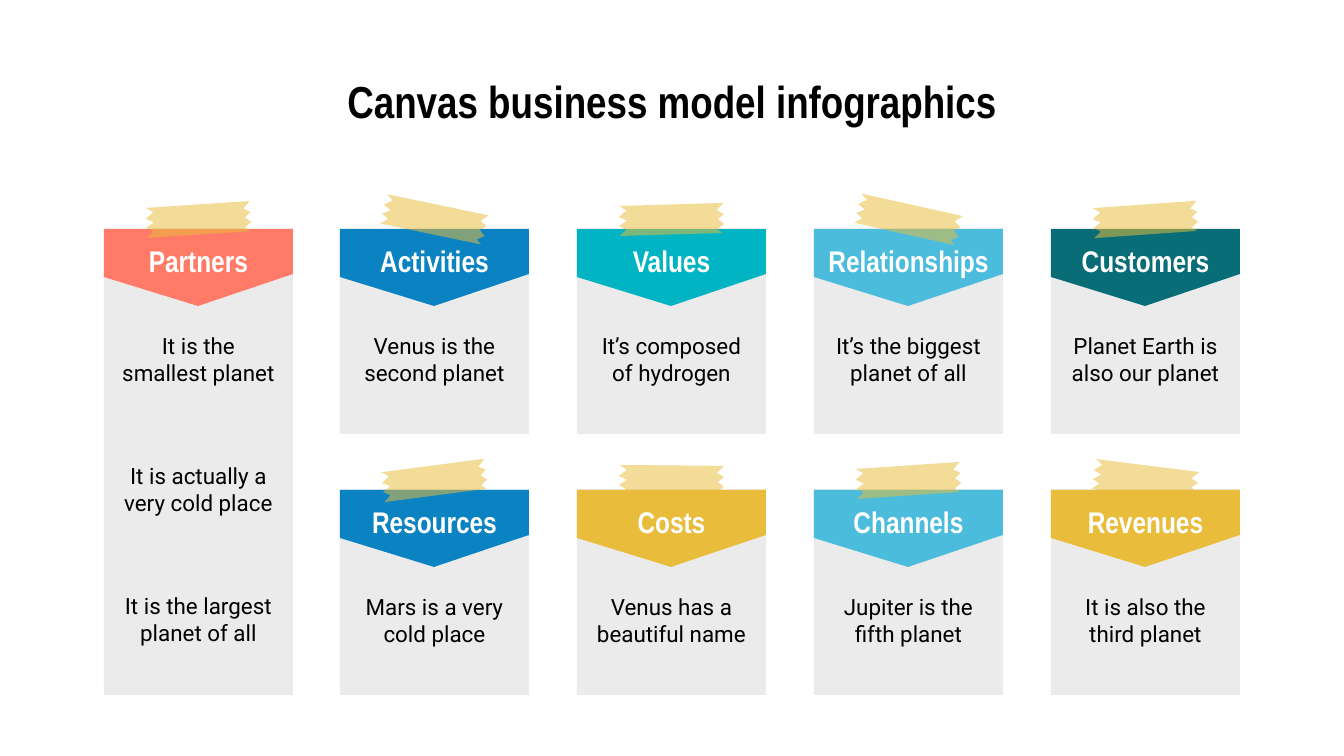
from lxml import etree
from pptx import Presentation
from pptx.dml.color import RGBColor
from pptx.enum.shapes import MSO_SHAPE
from pptx.enum.text import MSO_ANCHOR, MSO_AUTO_SIZE, PP_ALIGN
from pptx.oxml.ns import qn
from pptx.util import Emu, Pt

PX = 914400 / 134.4

BLACK = RGBColor(0x00, 0x00, 0x00)
WHITE = RGBColor(0xFF, 0xFF, 0xFF)
GREY = RGBColor(0xEB, 0xEB, 0xEB)
CORAL = RGBColor(0xFF, 0x7B, 0x68)
BLUE = RGBColor(0x0B, 0x83, 0xC2)
TURQUOISE = RGBColor(0x01, 0xB4, 0xC4)
SKY = RGBColor(0x4B, 0xBC, 0xDC)
TEAL = RGBColor(0x09, 0x6D, 0x77)
YELLOW = RGBColor(0xE9, 0xBD, 0x3B)

TITLE = "Canvas business model infographics"
# column, row, rows spanned, heading, colour, tape angle, notes
CARDS = [
    (0, 0, 2, "Partners", CORAL, -4.3,
     ["It is the smallest planet", "It is actually a very cold place",
      "It is the largest planet of all"]),
    (1, 0, 1, "Activities", BLUE, 11.2, ["Venus is the second planet"]),
    (2, 0, 1, "Values", TURQUOISE, -2.2, ["It’s composed of hydrogen"]),
    (3, 0, 1, "Relationships", SKY, 12, ["It’s the biggest planet of all"]),
    (4, 0, 1, "Customers", TEAL, -4.6, ["Planet Earth is also our planet"]),
    (1, 1, 1, "Resources", BLUE, -8, ["Mars is a very cold place"]),
    (2, 1, 1, "Costs", YELLOW, 0, ["Venus has a beautiful name"]),
    (3, 1, 1, "Channels", SKY, -4.4, ["Jupiter is the fifth planet"]),
    (4, 1, 1, "Revenues", YELLOW, 6.6, ["It is also the third planet"]),
]

LEFT, TOP, LAST_LEFT = 104, 228, 1051
CARD_W, CARD_H, ROW_STEP, NOTE_STEP = 189, 206, 261, 130
BANNER = [(0, 0), (0, 48), (94, 77), (CARD_W, 45), (CARD_W, 0)]
TAPE = [(1, 0), (8, 5), (0, 11), (8, 15), (0, 20), (7, 24), (0, 30),
        (103, 31), (98, 27), (105, 22), (99, 17), (105, 12), (98, 8), (105, 1)]

TITLE_FONT = dict(name="Arial Narrow", size=Pt(24), bold=True)
HEADING_FONT = dict(name="Arial Narrow", size=Pt(16), bold=True)
NOTE_FONT = dict(name="Roboto", size=Pt(12), bold=False)


def px(*values):
    return [Emu(round(v * PX)) for v in values]


def paint(sp, color):
    sp.shadow.inherit = False
    sp.fill.solid()
    sp.fill.fore_color.rgb = color
    sp.line.fill.background()


def add_outline(s, points, x, y, color):
    builder = s.shapes.build_freeform(*points[0], scale=PX)
    builder.add_line_segments(points[1:], close=True)
    sp = builder.convert_to_shape(*px(x, y))
    paint(sp, color)
    return sp


def add_tape(s, x, y, angle):
    sp = add_outline(s, TAPE, x, y, YELLOW)
    sp.rotation = angle
    rgb = sp.fill._xPr.find(qn("a:solidFill"))[0]
    etree.SubElement(rgb, qn("a:alpha"), val="53000")


def write(sp, text, font, color, anchor=MSO_ANCHOR.TOP):
    tf = sp.text_frame
    frame = dict(word_wrap=True, auto_size=MSO_AUTO_SIZE.NONE, vertical_anchor=anchor)
    for side in ("left", "top", "right", "bottom"):
        frame[f"margin_{side}"] = Emu(91440)
    for key, value in frame.items():
        setattr(tf, key, value)
    p = tf.paragraphs[0]
    p.alignment = PP_ALIGN.CENTER
    r = p.add_run()
    r.text = text
    for key, value in font.items():
        setattr(r.font, key, value)
    r.font.color.rgb = color


def add_card(s, col, row, span, heading, color, angle, notes):
    x = LEFT + col * (LAST_LEFT - LEFT) // 4
    y = TOP + row * ROW_STEP
    height = CARD_H + (span - 1) * ROW_STEP
    paint(s.shapes.add_shape(MSO_SHAPE.RECTANGLE, *px(x, y, CARD_W, height)), GREY)
    add_outline(s, BANNER, x, y + 1, color)
    add_tape(s, x + 42, y - 24, angle)
    box = s.shapes.add_textbox(*px(x, y + 7, CARD_W, 51))
    write(box, heading, HEADING_FONT, WHITE, MSO_ANCHOR.MIDDLE)
    for i, note in enumerate(notes):
        box = s.shapes.add_textbox(*px(x, y + 91 + i * NOTE_STEP, CARD_W, 89))
        write(box, note, NOTE_FONT, BLACK)


def main():
    prs = Presentation()
    prs.slide_width, prs.slide_height = px(1344, 756)
    s = prs.slides.add_slide(prs.slide_layouts[5])
    title = s.shapes.title
    title.left, title.top, title.width, title.height = px(67, 60, 1210, 85)
    write(title, TITLE, TITLE_FONT, BLACK)
    for card in CARDS:
        add_card(s, *card)
    prs.save("out.pptx")


if __name__ == "__main__":
    main()
